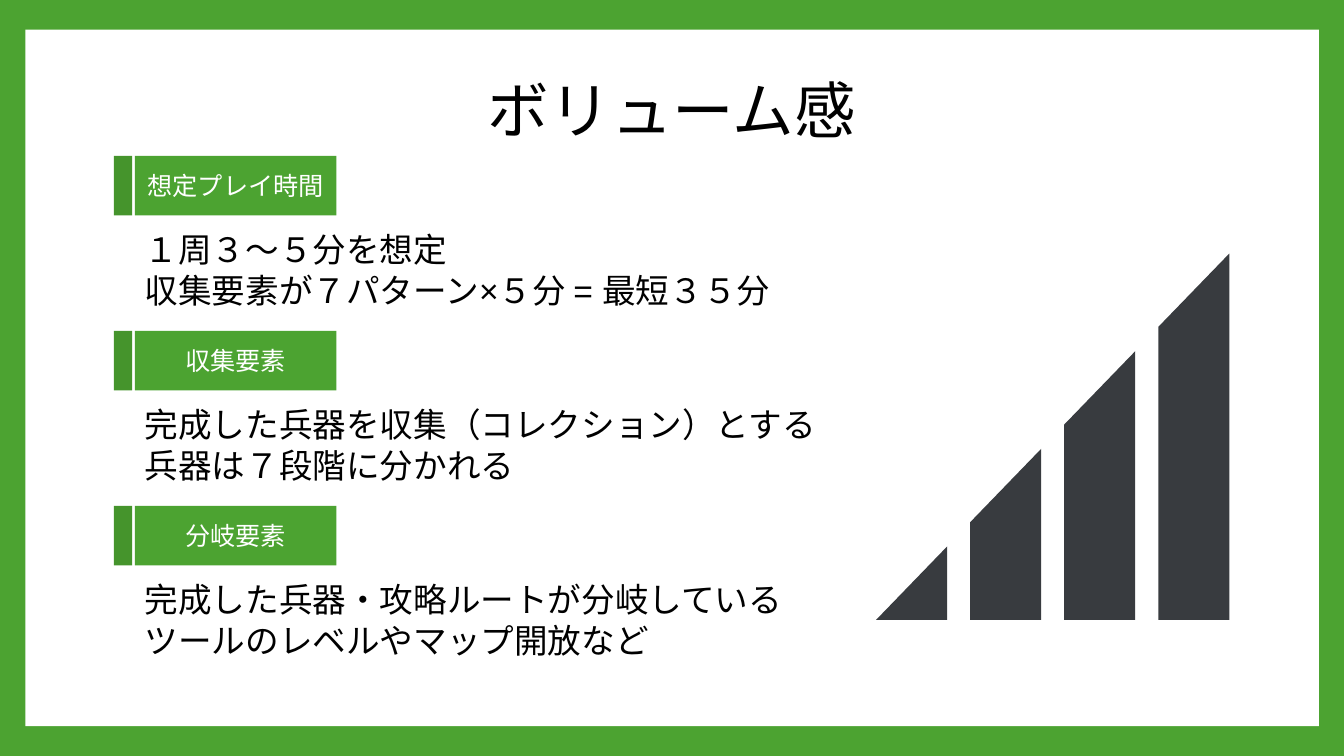
from pptx import Presentation
from pptx.dml.color import RGBColor
from pptx.enum.shapes import MSO_SHAPE as SHAPE
from pptx.enum.text import MSO_ANCHOR as ANCHOR, MSO_AUTO_SIZE as AUTO, PP_ALIGN as ALIGN
from pptx.util import Cm, Pt


def rgb(code):
    """Turn a hex string into a colour."""
    return RGBColor.from_string(code)


class Deck:
    """Hold the style and the current slide, and draw its elements."""

    GREEN, DARK_GREEN, SLATE = "4CA331", "45942C", "383B3F"
    WHITE, BLACK = "FFFFFF", "000000"
    FONT, TITLE_FONT = "Arial", "Montserrat"

    def __init__(self, prs):
        """Add a title-only slide with a green background."""
        self.s = prs.slides.add_slide(prs.slide_layouts[5])
        fill = self.s.background.fill
        fill.solid()
        fill.fore_color.rgb = rgb(self.GREEN)

    def paint(self, sp, color):
        """Give a shape a flat fill without line or shadow."""
        sp.fill.solid()
        sp.fill.fore_color.rgb = rgb(color)
        sp.line.fill.background()
        sp.shadow.inherit = False

    def set_text(self, tf, text, size, color, font=FONT, align=ALIGN.LEFT):
        """Set the text of a frame and format its runs."""
        tf.text = text
        tf.word_wrap = True
        for p in tf.paragraphs:
            p.alignment = align
            for r in p.runs:
                r.font.name = font
                r.font.size = Pt(size)
                r.font.color.rgb = rgb(color)

    def rect(self, x, y, w, h, color):
        """Draw a plain rectangle."""
        sp = self.s.shapes.add_shape(SHAPE.RECTANGLE, Cm(x), Cm(y), Cm(w), Cm(h))
        self.paint(sp, color)
        return sp

    def title(self, text, x, y, w, h):
        """Fill the title placeholder and bring it to the front."""
        sp = self.s.shapes.title
        sp.left, sp.top, sp.width, sp.height = Cm(x), Cm(y), Cm(w), Cm(h)
        tf = sp.text_frame
        self.set_text(tf, text, 44, self.BLACK, self.TITLE_FONT, ALIGN.CENTER)
        tf.auto_size = AUTO.NONE
        tf.vertical_anchor = ANCHOR.MIDDLE
        tf.paragraphs[0].line_spacing = 0.9
        sp.element.getparent().append(sp.element)

    def label(self, text, x, y):
        """Draw a heading box with a darker tab on its left."""
        self.rect(x, y, 0.46, 1.5, self.DARK_GREEN)
        sp = self.rect(x + 0.53, y, 5.08, 1.5, self.GREEN)
        tf = sp.text_frame
        tf.margin_left = tf.margin_right = Cm(0.1)
        tf.vertical_anchor = ANCHOR.MIDDLE
        self.set_text(tf, text, 18, self.WHITE, align=ALIGN.CENTER)

    def text(self, text, x, y, w, h):
        """Add a text box."""
        tf = self.s.shapes.add_textbox(Cm(x), Cm(y), Cm(w), Cm(h)).text_frame
        self.set_text(tf, text, 24, self.BLACK)
        tf.auto_size = AUTO.SHAPE_TO_FIT_TEXT

    def rising_bars(self, x, base, count, width, pitch, rise, step):
        """Draw slanted bars of growing height as one outline."""
        fb = None
        for i in range(count):
            left = x + i * pitch
            right, shoulder = left + width, base - i * step
            corners = [(Cm(cx), Cm(cy)) for cx, cy in (
                (left, base), (left, shoulder), (right, shoulder - rise), (right, base))]
            if fb is None:
                fb = self.s.shapes.build_freeform(*corners[0])
            else:
                fb.move_to(*corners[0])
            fb.add_line_segments(corners[1:], close=True)
        self.paint(fb.convert_to_shape(), self.SLATE)


SECTIONS = [
    ("想定プレイ時間", "１周３～５分を想定\n収集要素が７パターン×５分 = 最短３５分", 17.6),
    ("収集要素", "完成した兵器を収集（コレクション）とする\v兵器は７段階に分かれる", 17.6),
    ("分岐要素", "完成した兵器・攻略ルートが分岐している\nツールのレベルやマップ開放など", 19.48),
]


def main():
    """Build the slide and save it."""
    prs = Presentation()
    prs.slide_width, prs.slide_height = Cm(33.87), Cm(19.05)
    deck = Deck(prs)
    deck.rect(0.64, 0.75, 32.6, 17.55, deck.WHITE)
    deck.title("ボリューム感", 2.33, 1.01, 29.21, 3.68)
    for i, (heading, body, width) in enumerate(SECTIONS):
        top = 3.93 + i * 4.41
        deck.label(heading, 2.87, top)
        deck.text(body, 3.4, top + 1.72, width, 2.31)
    deck.rising_bars(22.08, 15.62, 4, 1.79, 2.37, 1.85, 2.46)
    prs.save("out.pptx")


if __name__ == "__main__":
    main()
